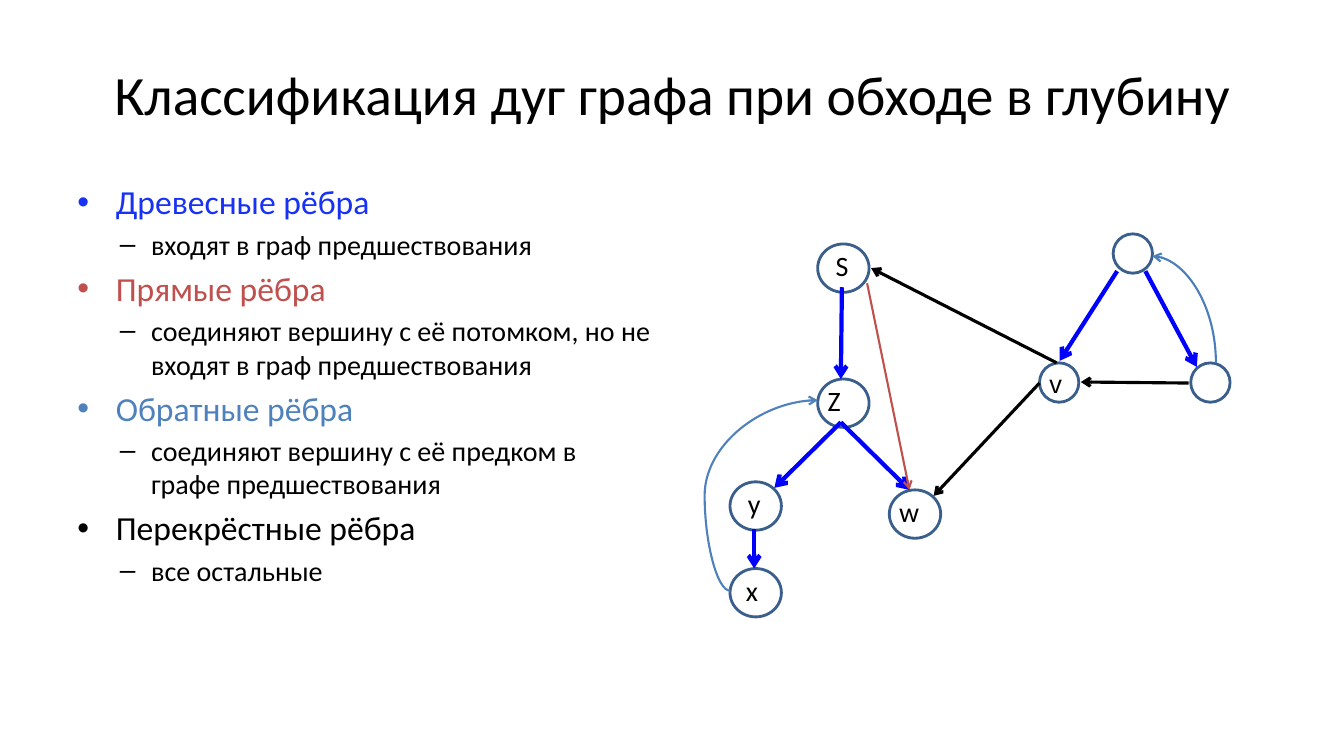
from dataclasses import dataclass

from lxml import etree
from pptx import Presentation
from pptx.dml.color import RGBColor
from pptx.enum import shapes, text
from pptx.oxml import ns
from pptx.util import Inches, Pt


@dataclass(frozen=True)
class Theme:
    font: str = "Calibri"
    alt_font: str = "Arial"
    ink: str = "000000"
    outline: str = "3A5F8C"
    tree: str = "0000FF"
    tree_text: str = "1731F5"
    forward: str = "C0504D"
    back: str = "4F81BD"
    back_dark: str = "4A7EBB"
    title: float = 39.6
    heading: float = 24
    body: float = 20
    small: float = 18
    thick: float = 3
    medium: float = 2.25
    outline_width: float = 2
    thin: float = 1.5


THEME = Theme()

SECTIONS = [
    ("Древесные рёбра", THEME.tree_text, "входят в граф предшествования"),
    ("Прямые рёбра", THEME.forward,
     "соединяют вершину с её потомком, но не входят в граф предшествования"),
    ("Обратные рёбра", THEME.back,
     "соединяют вершину с её предком в графе предшествования"),
    ("Перекрёстные рёбра", THEME.ink, "все остальные"),
]

LARGE = (0.51, 0.48)
SMALL = (0.39, 0.39)

NODES = [
    (1.11, 0.12, LARGE),
    (1.11, 1.46, LARGE),
    (0.24, 2.48, LARGE),
    (0.24, 3.34, LARGE),
    (1.82, 2.56, LARGE),
    (3.31, 1.3, SMALL),
    (4.81, 1.3, SMALL),
    (4.04, 0.02, SMALL),
]

LABELS = [
    ("S", 1.19, 0.12, THEME.font, THEME.body),
    ("Z", 1.11, 1.46, THEME.font, THEME.body),
    ("y", 0.32, 2.48, THEME.font, THEME.body),
    ("x", 0.3, 3.34, THEME.font, THEME.body),
    ("w", 1.82, 2.56, THEME.font, THEME.body),
    ("v", 3.31, 1.3, THEME.alt_font, THEME.small),
]

EDGE_GROUPS = [
    (THEME.tree, THEME.thick, [
        ((0.48, 2.95), (0.48, 3.34)),
        ((1.35, 0.55), (1.34, 1.46)),
        ((1.34, 1.89), (2.02, 2.56)),
        ((1.34, 1.89), (0.68, 2.54)),
        ((4.08, 0.39), (3.51, 1.28)),
        ((4.36, 0.39), (4.87, 1.34)),
    ]),
    (THEME.ink, THEME.medium, [
        ((4.79, 1.5), (3.72, 1.49)),
        ((3.31, 1.5), (2.26, 2.62)),
        ((3.48, 1.3), (1.64, 0.36)),
    ]),
    (THEME.forward, THEME.thin, [((1.6, 0.51), (2.02, 2.56))]),
]


def style_run(r, font, size, color):
    r.font.name = font
    r.font.size = Pt(size)
    r.font.color.rgb = RGBColor.from_string(color)


def add_text_box(s, left, top, width, height):
    tf = s.shapes.add_textbox(Inches(left), Inches(top), Inches(width), Inches(height)).text_frame
    tf.word_wrap = True
    return tf


def add_title(s, left, top, width, height):
    tf = add_text_box(s, left, top, width, height)
    tf.vertical_anchor = text.MSO_ANCHOR.MIDDLE
    tf.text = "Классификация дуг графа при обходе в глубину"
    p = tf.paragraphs[0]
    p.alignment = text.PP_ALIGN.CENTER
    style_run(p.runs[0], THEME.font, THEME.title, THEME.ink)


def add_bullet(p, char, margin, indent):
    pPr = p._p.get_or_add_pPr()
    pPr.set("marL", str(Inches(margin)))
    pPr.set("indent", str(Inches(indent)))
    etree.SubElement(pPr, ns.qn("a:buFont")).set("typeface", THEME.alt_font)
    etree.SubElement(pPr, ns.qn("a:buChar")).set("char", char)


def add_definitions(s, left, top, width, height):
    tf = add_text_box(s, left, top, width, height)
    rows = []
    for heading, color, detail in SECTIONS:
        rows.append((heading, 0, "•", 0.38, -0.38, THEME.heading, color))
        rows.append((detail, 1, "–", 0.73, -0.31, THEME.body, THEME.ink))
    for i, (words, level, char, margin, indent, size, color) in enumerate(rows):
        p = tf.add_paragraph() if i else tf.paragraphs[0]
        p.text = words
        p.level = level
        add_bullet(p, char, margin, indent)
        if i:
            p.space_before = Pt(size * 0.2)
        style_run(p.runs[0], THEME.font, size, color)


def add_edge(s, kind, x, y, start, end, color, width, arrow="a:tailEnd"):
    edge = s.shapes.add_connector(
        kind, Inches(x + start[0]), Inches(y + start[1]), Inches(x + end[0]), Inches(y + end[1]))
    edge.line.color.rgb = RGBColor.from_string(color)
    edge.line.width = Pt(width)
    etree.SubElement(edge.line._get_or_add_ln(), ns.qn(arrow)).set("type", "arrow")
    etree.SubElement(edge._element.spPr, ns.qn("a:effectLst"))
    return edge


def add_curves(s, x, y):
    curve = shapes.MSO_CONNECTOR.CURVE
    quarter = add_edge(s, curve, x, y, (4.43, 0.24), (5.06, 1.3),
                       THEME.back_dark, THEME.thin, "a:headEnd")
    quarter._element.spPr.find(ns.qn("a:prstGeom")).set("prst", "curvedConnector2")
    loop = add_edge(s, curve, x, y, (0.24, 3.56), (1.11, 1.67), THEME.back, THEME.thin)
    geom = loop._element.spPr.find(ns.qn("a:prstGeom"))
    guides = geom.find(ns.qn("a:avLst"))
    if guides is None:
        guides = etree.SubElement(geom, ns.qn("a:avLst"))
    guide = etree.SubElement(guides, ns.qn("a:gd"))
    guide.set("name", "adj1")
    guide.set("fmla", "val -28900")


def add_graph(s, x, y):
    for left, top, (width, height) in NODES:
        node = s.shapes.add_shape(shapes.MSO_SHAPE.OVAL, Inches(x + left), Inches(y + top),
                                  Inches(width), Inches(height))
        node.shadow.inherit = False
        node.fill.background()
        node.line.color.rgb = RGBColor.from_string(THEME.outline)
        node.line.width = Pt(THEME.outline_width)
    for letter, left, top, font, size in LABELS:
        tf = add_text_box(s, x + left, y + top, 0.45, 0.43)
        tf.text = letter
        style_run(tf.paragraphs[0].runs[0], font, size, THEME.ink)
    for color, width, edges in EDGE_GROUPS:
        for start, end in edges:
            add_edge(s, shapes.MSO_CONNECTOR.STRAIGHT, x, y, start, end, color, width)
    add_curves(s, x, y)


def main():
    prs = Presentation()
    prs.slide_width = Inches(13.33)
    prs.slide_height = Inches(7.5)
    s = prs.slides.add_slide(prs.slide_layouts[6])
    add_graph(s, 7, 2.3)
    add_title(s, 0.67, 0.3, 12, 1.25)
    add_definitions(s, 0.67, 1.75, 5.89, 4.95)
    prs.save("out.pptx")


if __name__ == "__main__":
    main()
